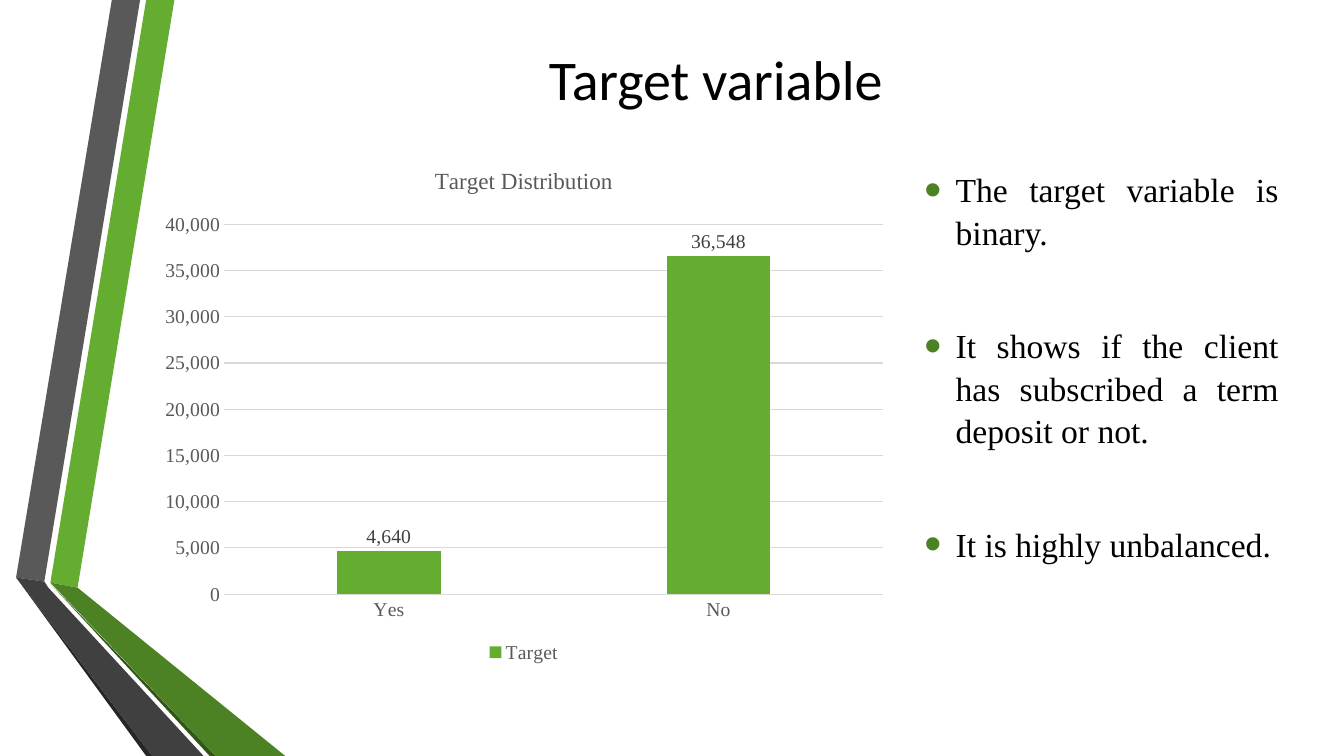
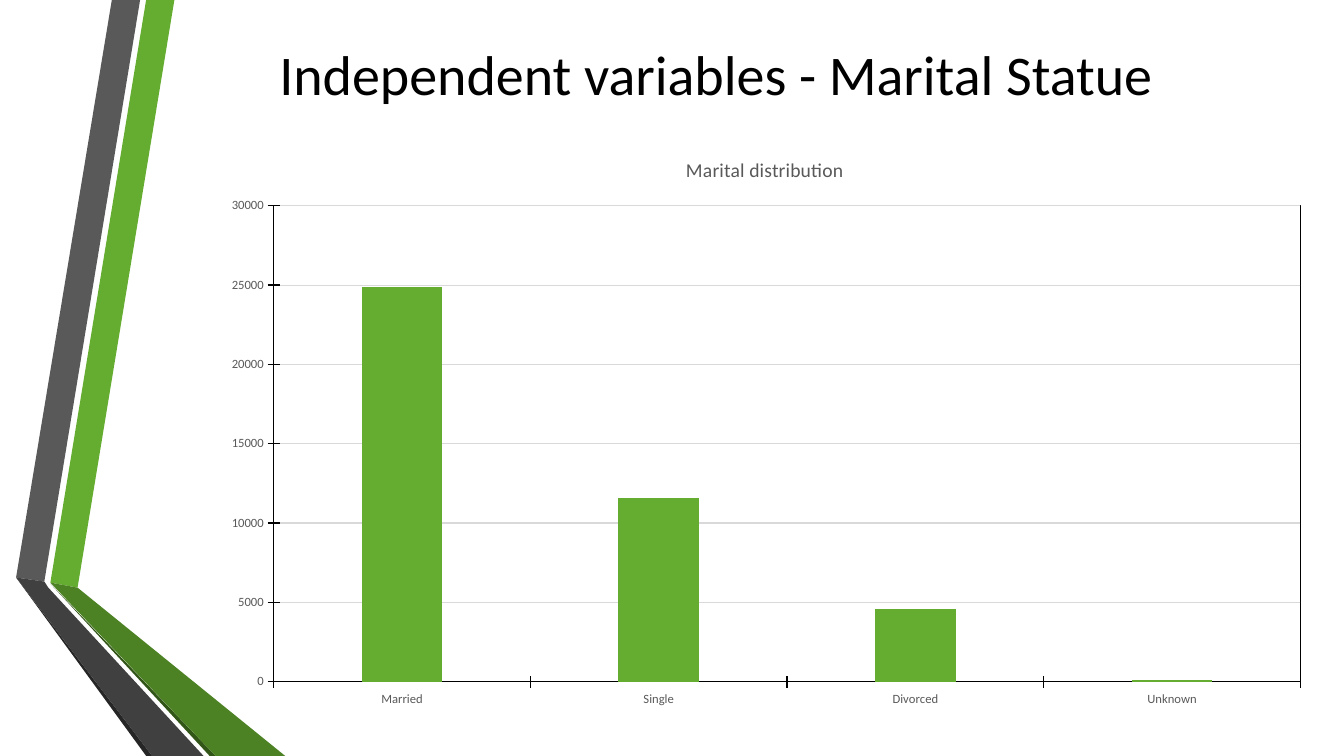
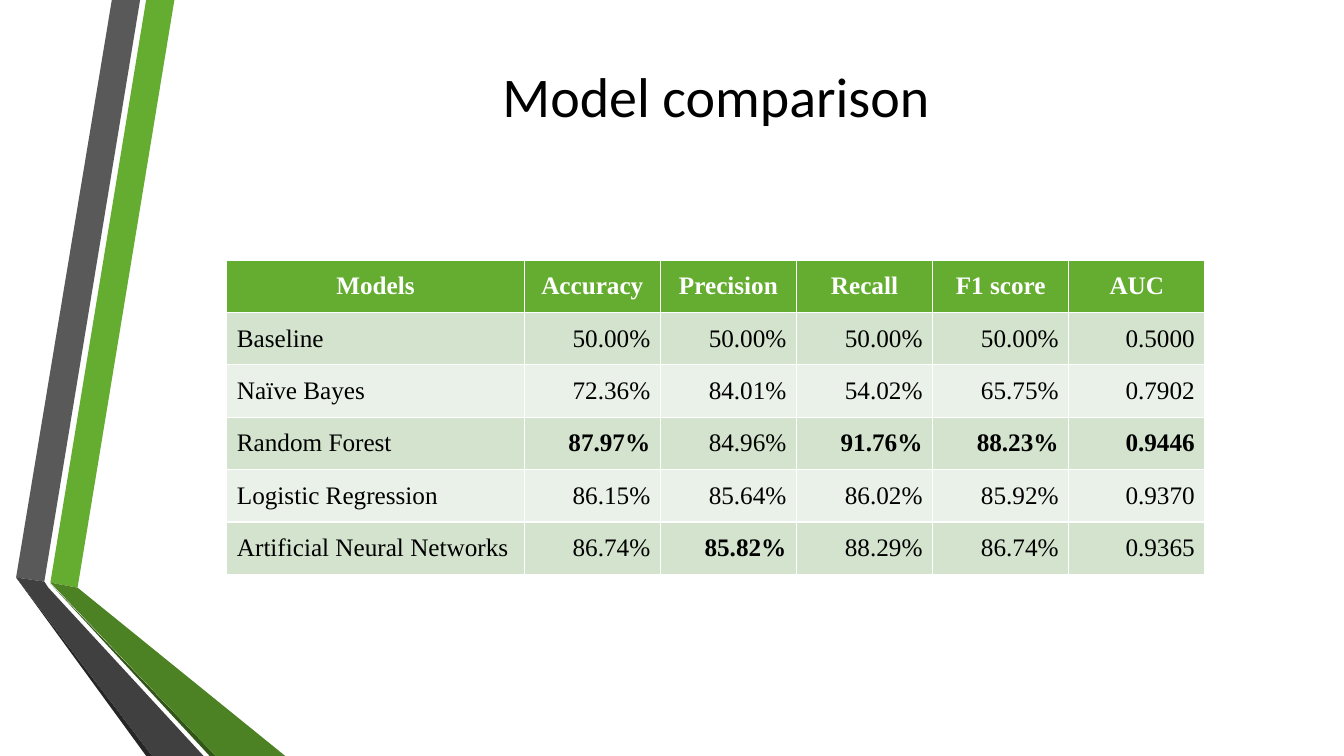
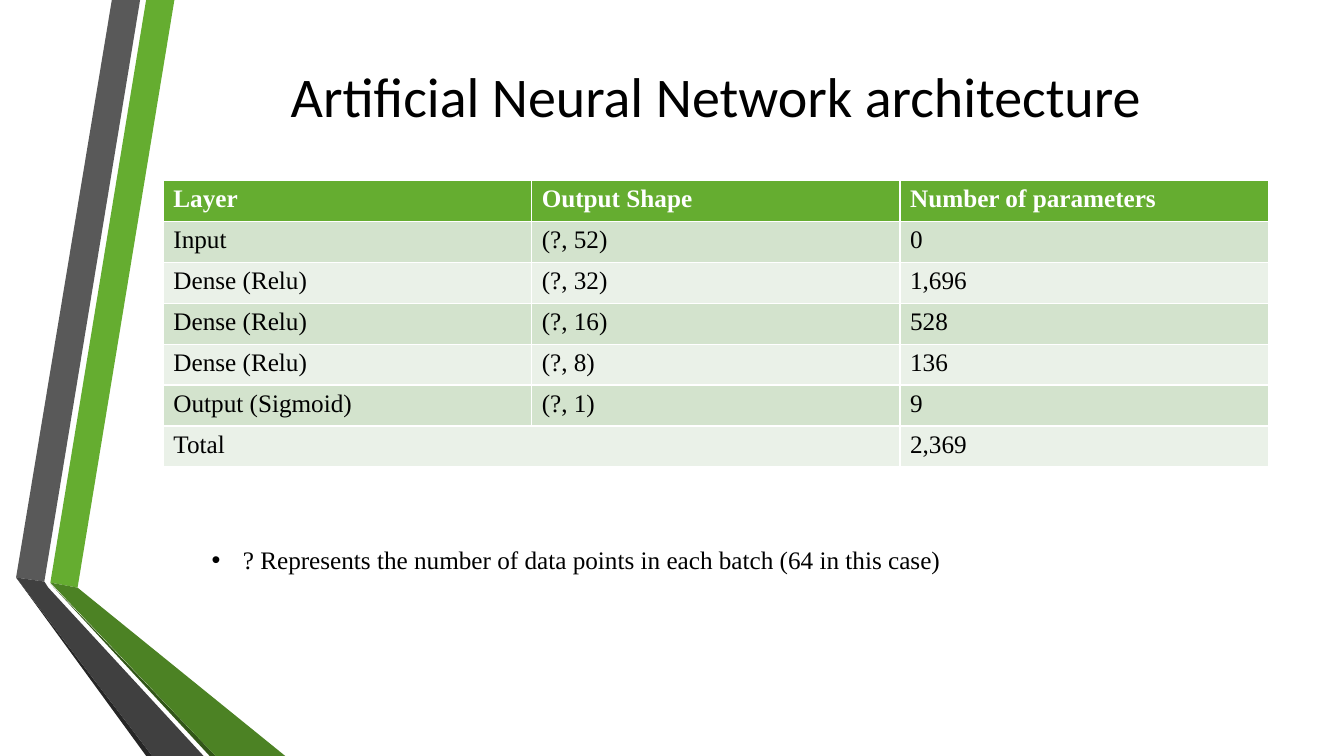
from lxml import etree
from pptx import Presentation
from pptx.chart.data import CategoryChartData
from pptx.dml.color import RGBColor
from pptx.enum.chart import XL_CHART_TYPE, XL_LABEL_POSITION, XL_LEGEND_POSITION, XL_TICK_MARK
from pptx.enum.text import MSO_ANCHOR, PP_ALIGN
from pptx.oxml import parse_xml
from pptx.oxml.ns import nsdecls, qn
from pptx.util import Inches, Pt

COLUMN_CHART = XL_CHART_TYPE.COLUMN_CLUSTERED
OUTSIDE_END = XL_LABEL_POSITION.OUTSIDE_END
LEGEND_BOTTOM = XL_LEGEND_POSITION.BOTTOM
TICK_NONE, TICK_CROSS = XL_TICK_MARK.NONE, XL_TICK_MARK.CROSS
MIDDLE, TOP = MSO_ANCHOR.MIDDLE, MSO_ANCHOR.TOP
LEFT, CENTER, RIGHT, JUSTIFY = PP_ALIGN.LEFT, PP_ALIGN.CENTER, PP_ALIGN.RIGHT, PP_ALIGN.JUSTIFY

GRID = 0.1
SANS, SERIF = "Calibri", "Times New Roman"
BLACK, WHITE = "000000", "FFFFFF"
GREEN, DARK_GREEN, DEEP_GREEN = "65AD30", "4C8224", "325618"
GREY, DARK_GREY, DEEP_GREY, PALE_GREY = "595959", "404040", "262626", "D9D9D9"
ROW_FILLS = ("D3E3CD", "EAF1E8")
CONTENT_LEFT, CONTENT_WIDTH = 16.2, 109.6

BANDS = (
    (GREEN, ((5, 57.8), (7.7, 58.3), (17.3, 0), (14.5, 0))),
    (GREY, ((13.9, 0), (11.1, 0), (1.6, 57.3), (4.4, 57.7))),
    (DEEP_GREY, ((1.6, 57.3), (14.5, 75), (15.1, 75))),
    (DEEP_GREEN, ((5, 57.9), (20.8, 75), (21.4, 75))),
    (DARK_GREEN, ((5, 57.8), (21.4, 75), (28.3, 75), (7.7, 58.3))),
    (DARK_GREY, ((20.2, 75), (4.8, 58.3), (4.4, 57.7), (1.6, 57.3), (15.1, 75))),
)

MODEL_ROWS = (
    ("Models", "Accuracy", "Precision", "Recall", "F1 score", "AUC"),
    ("Baseline", "50.00%", "50.00%", "50.00%", "50.00%", "0.5000"),
    ("Naïve Bayes", "72.36%", "84.01%", "54.02%", "65.75%", "0.7902"),
    ("Random Forest", "87.97%", "84.96%", "91.76%", "88.23%", "0.9446"),
    ("Logistic Regression", "86.15%", "85.64%", "86.02%", "85.92%", "0.9370"),
    ("Artificial Neural Networks", "86.74%", "85.82%", "88.29%", "86.74%", "0.9365"),
)

LAYER_ROWS = (
    ("Layer", "Output Shape", "Number of parameters"),
    ("Input", "(?, 52)", "0"),
    ("Dense (Relu)", "(?, 32)", "1,696"),
    ("Dense (Relu)", "(?, 16)", "528"),
    ("Dense (Relu)", "(?, 8)", "136"),
    ("Output (Sigmoid)", "(?, 1)", "9"),
    ("Total", "", "2,369"),
)


def colour(value):
    """Turn a hex string into a colour."""
    return RGBColor.from_string(value)


def grid(*units):
    """Turn grid units into lengths."""
    return [Inches(unit * GRID) for unit in units]


def set_format(target, **values):
    """Set each named attribute of an object."""
    for name, value in values.items():
        setattr(target, name, value)


def set_font(font, name, size, hex_colour, bold=False):
    """Format a font."""
    set_format(font, name=name, size=Pt(size), bold=bold)
    font.color.rgb = colour(hex_colour)


def set_line(line, hex_colour, width):
    """Format a line."""
    line.color.rgb = colour(hex_colour)
    line.width = Pt(width)


def add_bands(slide, layout):
    """Draw the side bands and hand them to the layout that all slides share."""
    for placeholder in list(layout.placeholders):
        if placeholder.placeholder_format.idx:
            layout.shapes.element.remove(placeholder.element)
    bands = []
    for fill, points in BANDS:
        corners = [grid(*point) for point in points]
        builder = slide.shapes.build_freeform(*corners[0])
        builder.add_line_segments(corners[1:], close=True)
        band = builder.convert_to_shape()
        band.shadow.inherit = False
        band.fill.solid()
        band.fill.fore_color.rgb = colour(fill)
        band.line.fill.background()
        bands.append(band)
    for band in bands:
        layout.shapes.element.append(band.element)


def add_titled_slide(presentation, layout, text, height):
    """Add a slide with a centred title of the given height."""
    slide = presentation.slides.add_slide(layout)
    title = slide.shapes.title
    left, top, width, height = grid(CONTENT_LEFT, 1, CONTENT_WIDTH, height)
    set_format(title, left=left, top=top, width=width, height=height)
    set_format(title.text_frame, text=text, vertical_anchor=MIDDLE, word_wrap=True)
    paragraph = title.text_frame.paragraphs[0]
    paragraph.alignment = CENTER
    set_font(paragraph.runs[0].font, SANS, 40, BLACK)
    return slide


def set_bullet(paragraph, hex_colour, percent):
    """Give a paragraph a hanging round bullet."""
    properties = paragraph._p.get_or_add_pPr()
    indent = Inches(0.31)
    properties.set("marL", str(indent))
    properties.set("indent", str(-indent))
    bullet_colour = etree.SubElement(properties, qn("a:buClr"))
    etree.SubElement(bullet_colour, qn("a:srgbClr"), val=hex_colour)
    etree.SubElement(properties, qn("a:buSzPct"), val=str(percent * 1000))
    etree.SubElement(properties, qn("a:buFont"), typeface="Arial")
    etree.SubElement(properties, qn("a:buChar"), char="•")


def add_bullets(slide, area, texts, size, bullet, frame_format, paragraph_format):
    """Add a text box with one bullet for each text."""
    frame = slide.shapes.add_textbox(*grid(*area)).text_frame
    set_format(frame, word_wrap=True, **frame_format)
    for index, text in enumerate(texts):
        paragraph = frame.add_paragraph() if index else frame.paragraphs[0]
        set_format(paragraph, **paragraph_format)
        set_bullet(paragraph, *bullet)
        run = paragraph.add_run()
        run.text = text
        set_font(run.font, SERIF, size, BLACK)


def set_plot_area(chart, shares, border=False):
    """Place the inner plot area by shares of the chart, with an optional border."""
    area = chart.element.find(qn("c:chart")).find(qn("c:plotArea"))
    for layout in area.findall(qn("c:layout")):
        area.remove(layout)
    sizes = "".join(f'<c:{name} val="{share}"/>' for name, share in zip("xywh", shares))
    area.insert(0, parse_xml(
        f'<c:layout {nsdecls("c")}><c:manualLayout><c:layoutTarget val="inner"/>'
        f'<c:xMode val="edge"/><c:yMode val="edge"/>{sizes}</c:manualLayout></c:layout>'))
    if border:
        area.append(parse_xml(
            f'<c:spPr {nsdecls("c", "a")}><a:noFill/><a:ln w="{Pt(1)}"><a:solidFill>'
            f'<a:srgbClr val="{BLACK}"/></a:solidFill></a:ln></c:spPr>'))


def add_column_chart(slide, area, title, series_name, values, font, title_size,
                     axis_size, maximum, number_format, tick, axis_line):
    """Add a column chart with one series."""
    data = CategoryChartData()
    data.categories = list(values)
    data.add_series(series_name, list(values.values()))
    chart = slide.shapes.add_chart(COLUMN_CHART, *grid(*area), data).chart
    set_format(chart, has_title=True, has_legend=False)
    set_font(chart.font, font, axis_size, GREY)
    chart.chart_title.text_frame.text = title
    title_run = chart.chart_title.text_frame.paragraphs[0].runs[0]
    set_font(title_run.font, font, title_size, GREY)
    set_format(chart.plots[0], gap_width=219, overlap=-27, vary_by_categories=False)
    fill = chart.plots[0].series[0].format.fill
    fill.solid()
    fill.fore_color.rgb = colour(GREEN)
    for axis in (chart.category_axis, chart.value_axis):
        set_format(axis, major_tick_mark=tick, minor_tick_mark=TICK_NONE)
        set_font(axis.tick_labels.font, font, axis_size, GREY)
        set_line(axis.format.line, *axis_line)
    set_format(chart.value_axis, minimum_scale=0, maximum_scale=maximum, major_unit=5000)
    set_format(chart.value_axis.tick_labels,
               number_format=number_format, number_format_is_linked=False)
    set_line(chart.value_axis.major_gridlines.format.line, PALE_GREY, 0.75)
    return chart


def add_legend_and_labels(chart, font, size):
    """Show a legend below the chart and a value above each column."""
    chart.has_legend = True
    set_format(chart.legend, position=LEGEND_BOTTOM, include_in_layout=False)
    set_font(chart.legend.font, font, size, GREY)
    labels = chart.plots[0].series[0].data_labels
    set_format(labels, show_value=True, position=OUTSIDE_END,
               number_format="#,##0", number_format_is_linked=False)
    set_font(labels.font, font, size, DARK_GREY)


def add_striped_table(slide, left, top, widths, row_height, rows, header_alignment=LEFT,
                      value_alignment=LEFT, anchor=TOP, bold_best=False):
    """Add a striped table, with the best value of each column in bold on request."""
    area = grid(left, top, sum(widths), row_height * len(rows))
    table = slide.shapes.add_table(len(rows), len(widths), *area).table
    for column, width in zip(table.columns, grid(*widths)):
        column.width = width
    best = [max(values) for values in zip(*rows[1:])]
    for row_index, row in enumerate(rows):
        header = row_index == 0
        fill = GREEN if header else ROW_FILLS[(row_index - 1) % 2]
        for column_index, text in enumerate(row):
            cell = table.cell(row_index, column_index)
            cell.vertical_anchor = anchor
            cell.fill.solid()
            cell.fill.fore_color.rgb = colour(fill)
            paragraph = cell.text_frame.paragraphs[0]
            body_alignment = value_alignment if column_index else LEFT
            paragraph.alignment = header_alignment if header else body_alignment
            if text:
                run = paragraph.add_run()
                run.text = text
                is_best = bold_best and column_index > 0 and text == best[column_index]
                set_font(run.font, SERIF, 18, WHITE if header else BLACK, header or is_best)
    return table


def add_target_slide(presentation, layout):
    """Add the slide on the target variable."""
    slide = add_titled_slide(presentation, layout, "Target variable", 13.5)
    add_bullets(
        slide, (90.7, 16.6, 37.1, 42.7),
        ("The target variable is binary.",
         "It shows if the client has subscribed a term deposit or not.",
         "It is highly unbalanced."),
        24, (DARK_GREEN, 145), {"vertical_anchor": TOP, "margin_top": 0},
        {"alignment": JUSTIFY, "line_spacing": 1.05, "space_after": Pt(51)})
    chart = add_column_chart(
        slide, (14.8, 14.5, 74.3, 51.7), "Target Distribution", "Target",
        {"Yes": 4640, "No": 36548}, SERIF, 16.5, 14, 40000, "#,##0",
        TICK_NONE, (PALE_GREY, 0.75))
    chart.value_axis.format.line.fill.background()
    add_legend_and_labels(chart, SERIF, 14)
    set_plot_area(chart, (0.1, 0.15, 0.88, 0.71))
    return slide


def add_marital_slide(presentation, layout):
    """Add the slide on marital status."""
    slide = add_titled_slide(
        presentation, layout, "Independent variables - Marital Statue", 12.5)
    chart = add_column_chart(
        slide, (20.5, 13.5, 110.7, 57.6), "Marital distribution", "Series 1",
        {"Married": 24900, "Single": 11600, "Divorced": 4600, "Unknown": 100},
        SANS, 14, 9, 30000, "General", TICK_CROSS, (BLACK, 1))
    set_plot_area(chart, (0.06, 0.12, 0.92, 0.82), border=True)


def add_model_slide(presentation, layout):
    """Add the slide that compares the models."""
    slide = add_titled_slide(presentation, layout, "Model comparison", 16.9)
    add_striped_table(slide, 22.5, 25.8, [29.5] + [13.5] * 5, 5.2, MODEL_ROWS,
                      CENTER, RIGHT, MIDDLE, bold_best=True)


def add_network_slide(presentation, layout):
    """Add the slide on the network's layers."""
    slide = add_titled_slide(
        presentation, layout, "Artificial Neural Network architecture", 16.9)
    table = add_striped_table(slide, CONTENT_LEFT, 17.9, [CONTENT_WIDTH / 3] * 3,
                              4.06, LAYER_ROWS)
    total = len(LAYER_ROWS) - 1
    table.cell(total, 0).merge(table.cell(total, 1))
    add_bullets(
        slide, (20, 53.5, 91.8, 4.2),
        ("? Represents the number of data points in each batch (64 in this case)",),
        18, (BLACK, 100), {"vertical_anchor": TOP}, {"alignment": LEFT})


def main():
    """Build and save the presentation."""
    presentation = Presentation()
    set_format(presentation, slide_width=Inches(13.33), slide_height=Inches(7.5))
    layout = presentation.slide_layouts.get_by_name("Title Only")
    add_bands(add_target_slide(presentation, layout), layout)
    add_marital_slide(presentation, layout)
    add_model_slide(presentation, layout)
    add_network_slide(presentation, layout)
    presentation.save("out.pptx")


if __name__ == "__main__":
    main()
